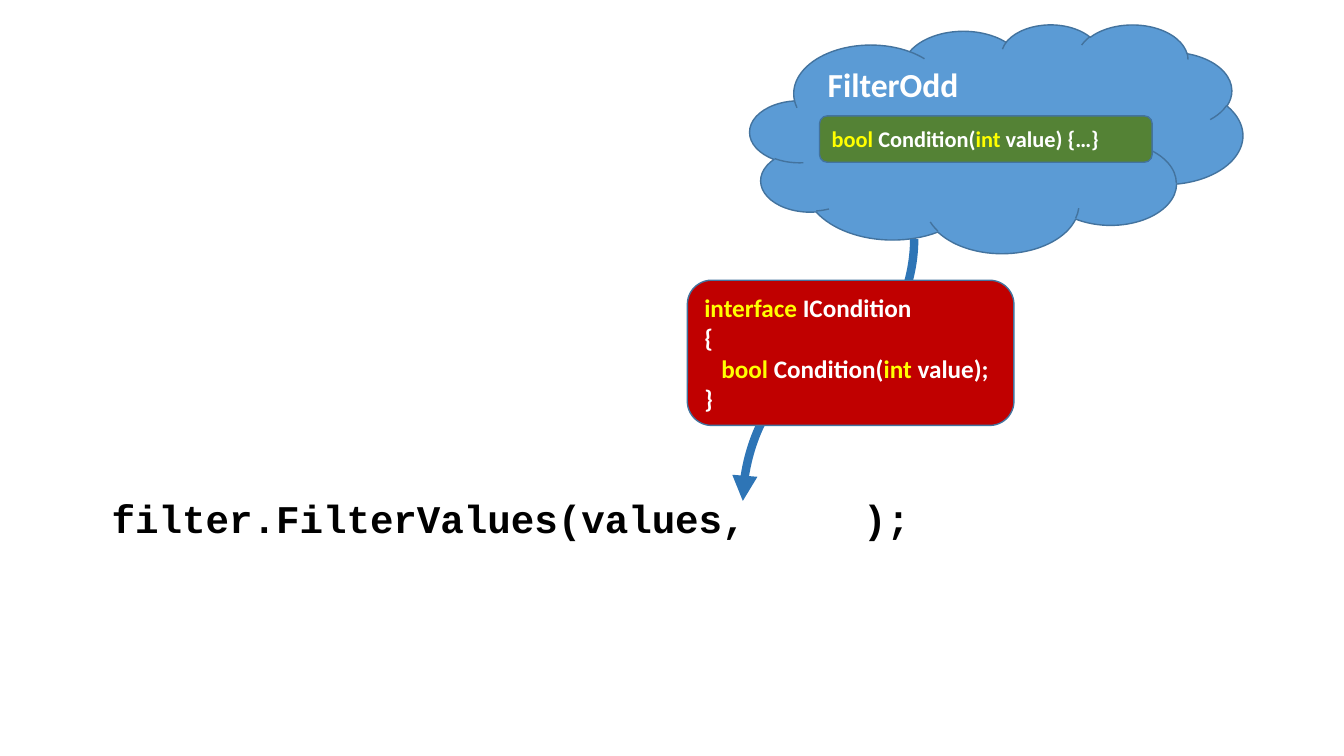
from lxml import etree
from pptx import Presentation
from pptx.dml.color import RGBColor
from pptx.enum import shapes as es, text as et
from pptx.oxml.ns import qn
from pptx.util import Pt

WHITE, KEY = "FFFFFF", "FFFF00"
WORDS = ("interface", "bool", "int")


def paint(item, color):
    """Give a fill, line or font a solid colour."""
    if hasattr(item, "solid"):
        item.solid()
        item.fore_color.rgb = RGBColor.from_string(color)
    else:
        item.color.rgb = RGBColor.from_string(color)


def write(frame, lines, size):
    """Write bold lines of (indent, parts), with keywords in yellow."""
    for i, (indent, parts) in enumerate(lines):
        para = frame.add_paragraph() if i else frame.paragraphs[0]
        para.alignment = et.PP_ALIGN.LEFT
        para.font.name, para.font.size, para.font.bold = "Calibri", Pt(size), True
        paint(para.font, WHITE)
        if indent:
            para._p.get_or_add_pPr().set("marL", str(Pt(indent)))
        for part in parts:
            run = para.add_run()
            run.text = part
            if part in WORDS:
                paint(run.font, KEY)


def block(slide, kind, box, color, lines, size, anchor=et.MSO_ANCHOR.MIDDLE):
    """Draw a filled shape in its box and write its text."""
    shape = slide.shapes.add_shape(kind, *map(Pt, box))
    shape.shadow.inherit = False
    paint(shape.fill, color)
    paint(shape.line, "43739E")
    shape.line.width = Pt(1)
    shape.text_frame.word_wrap = True
    shape.text_frame.vertical_anchor = anchor
    write(shape.text_frame, lines, size)


def cloud(slide, x, y, w, h):
    """Draw the filter cloud and the method inside it."""
    block(slide, es.MSO_SHAPE.CLOUD, (x, y, w, h), "5B9BD5",
          [(0, ["FilterOdd"])], 24, et.MSO_ANCHOR.TOP)
    block(slide, es.MSO_SHAPE.ROUNDED_RECTANGLE, (x + 49.7, y + 65.5, 237.6, 33.1), "548235",
          [(0, ["bool", " Condition(", "int", " value) {…}"])], 16)


def arrow(slide, x, y, w, h):
    """Draw a curved arrow from the top right to the bottom left of the box."""
    mid, base = x + w / 2, y + h / 2
    ends = mid - h / 2, base - w / 2, mid + h / 2, base + w / 2
    link = slide.shapes.add_connector(es.MSO_CONNECTOR.CURVE, *map(Pt, ends))
    paint(link.line, "2E75B6")
    link.line.width = Pt(6)
    prop = link._element.spPr
    prop.find(qn("a:xfrm")).set("rot", str(90 * 60000))
    etree.SubElement(prop.find(qn("a:ln")), qn("a:tailEnd"), type="triangle")
    etree.SubElement(prop, qn("a:effectLst"))


def contract(slide, *box):
    """Draw the interface block."""
    lines = [
        (0, ["interface", " ICondition"]),
        (0, ["{"]),
        (12.2, ["bool", " Condition(", "int", " value);"]),
        (0, ["}"]),
    ]
    block(slide, es.MSO_SHAPE.ROUNDED_RECTANGLE, box, "C00000", lines, 18)


def call(slide, *box):
    """Write the line of code that calls the filter."""
    frame = slide.shapes.add_textbox(*map(Pt, box)).text_frame
    frame.word_wrap = True
    frame.margin_top = Pt(44.4)
    para = frame.paragraphs[0]
    para.text = "filter.FilterValues(values,     );"
    para.line_spacing = 0.9
    para.font.name, para.font.size, para.font.bold = "Courier New", Pt(28), True
    paint(para.font, "000000")


def main():
    """Build the slide and save it."""
    deck = Presentation()
    deck.slide_width, deck.slide_height = Pt(960), Pt(540)
    slide = deck.slides.add_slide(deck.slide_layouts[6])
    call(slide, 72.7, 312.5, 867.6, 175)
    cloud(slide, 535.7, 17.3, 352, 163.4)
    arrow(slide, 530.6, 170.8, 122.4, 187)
    contract(slide, 491, 200.2, 233.3, 103.7)
    deck.save("out.pptx")


if __name__ == "__main__":
    main()
